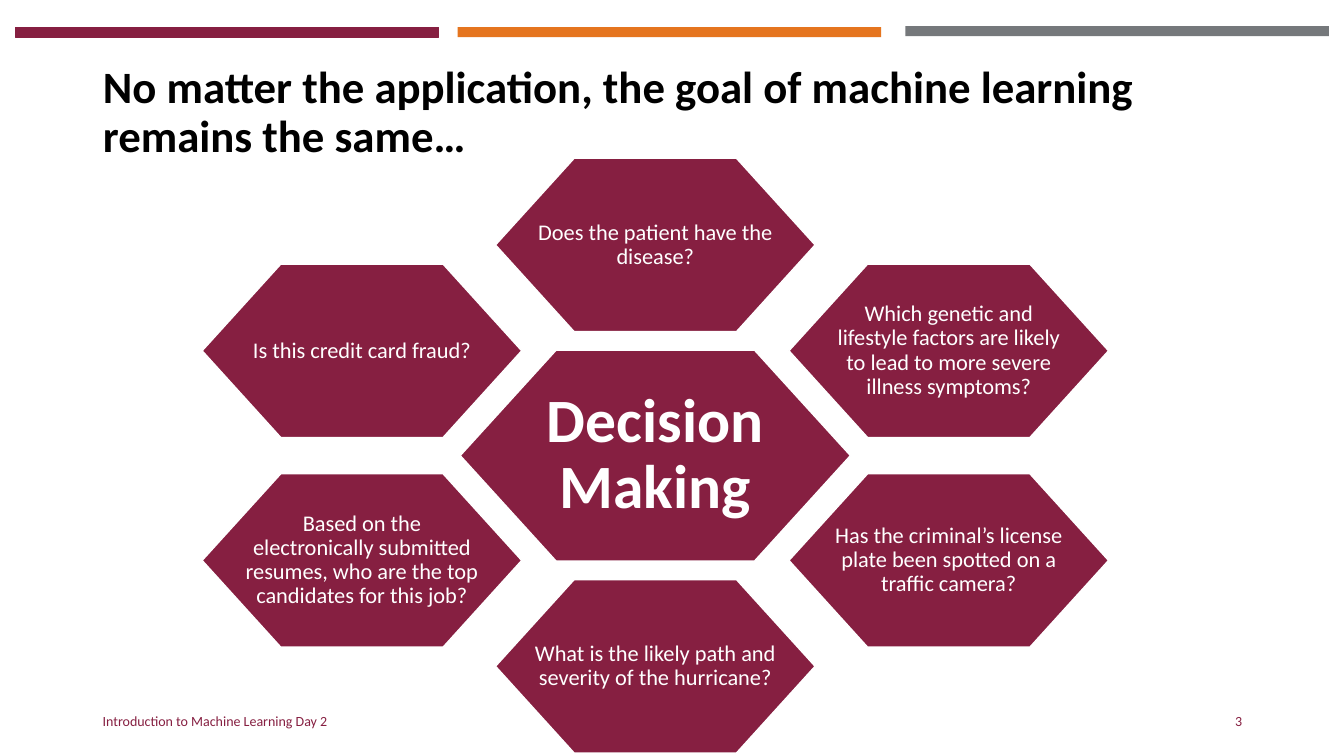
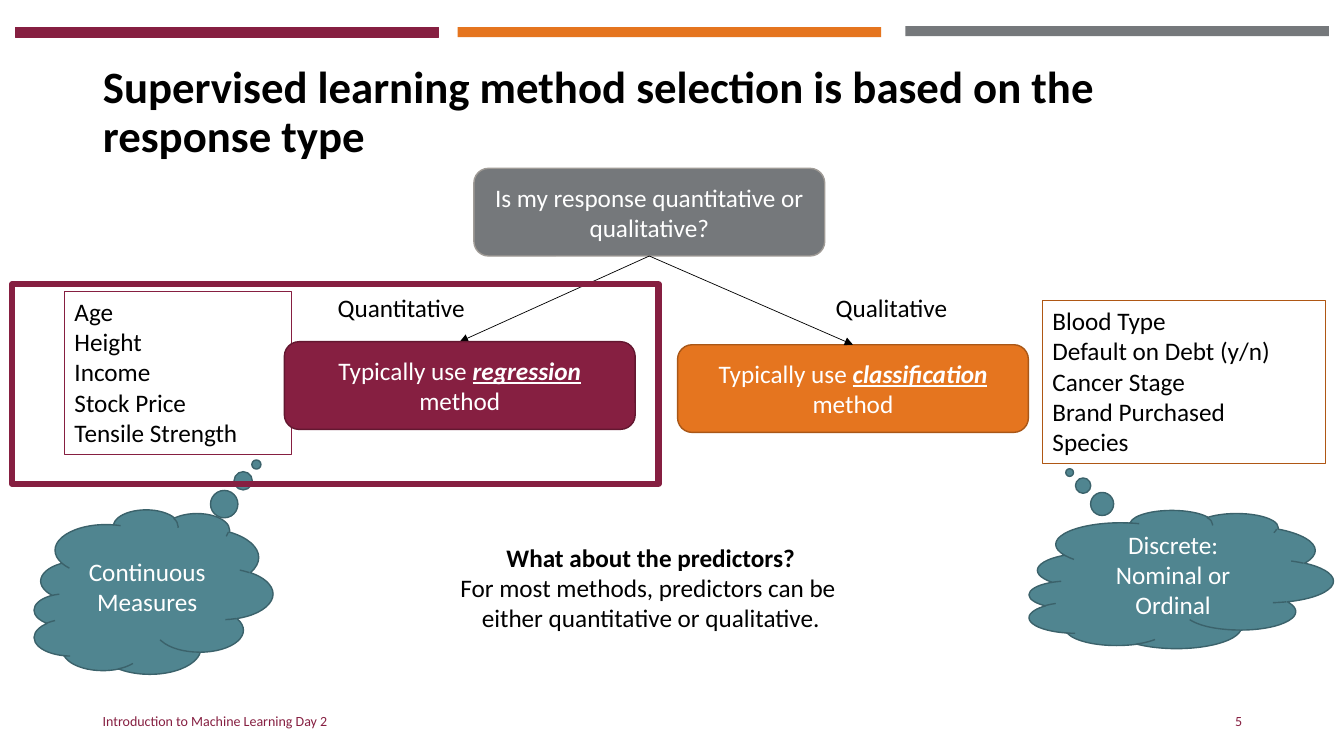
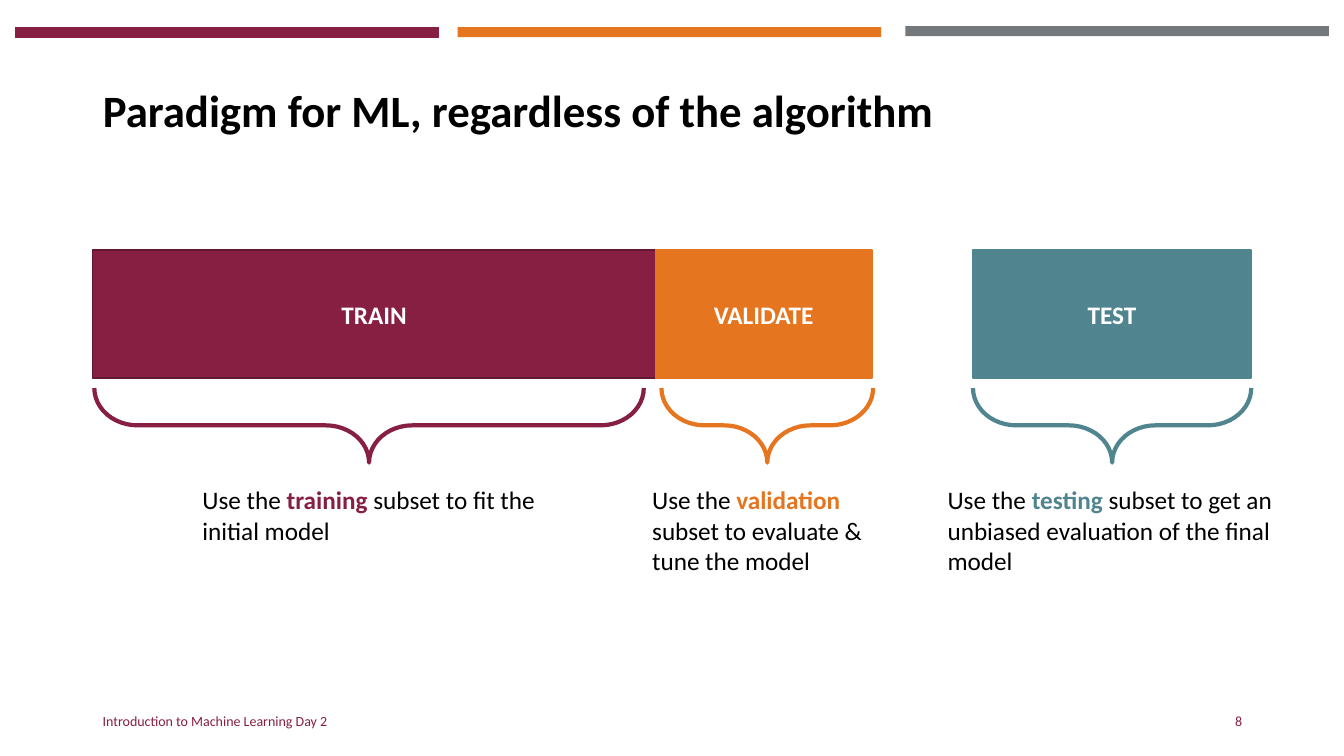
from dataclasses import dataclass
from lxml.etree import SubElement
from pptx import Presentation
from pptx.dml.color import RGBColor
from pptx.enum.shapes import MSO_CONNECTOR, MSO_SHAPE
from pptx.enum.text import MSO_ANCHOR, MSO_AUTO_SIZE, PP_ALIGN
from pptx.oxml.ns import qn
from pptx.util import Inches, Pt


@dataclass(frozen=True)
class Theme:
    font: str = "Calibri"
    wine: str = "861F41"
    orange: str = "E5751F"
    gray: str = "75787B"
    teal: str = "508590"
    white: str = "FFFFFF"
    black: str = "000000"
    wine_edge: str = "631730"
    orange_edge: str = "A95717"
    list_edge: str = "AF5714"
    gray_edge: str = "9F9B96"
    teal_edge: str = "3B626B"
    title: int = 32
    core: int = 44
    body: int = 18
    cell: int = 16
    foot: int = 10


T = Theme()


def write(shape, paras, size=T.body, color=T.black, align=PP_ALIGN.LEFT,
          anchor=MSO_ANCHOR.TOP, spacing=None):
    """Fill a shape; a run is (text, style letters b/i/u, optional colour)."""
    frame = shape.text_frame
    frame.word_wrap = True
    frame.auto_size = MSO_AUTO_SIZE.NONE
    frame.vertical_anchor = anchor
    for i, runs in enumerate(paras):
        para = frame.paragraphs[0] if i == 0 else frame.add_paragraph()
        para.alignment = align
        if spacing:
            para.line_spacing = spacing
        for text, style, *tint in runs:
            run = para.add_run()
            run.text = text
            font = run.font
            font.name, font.size = T.font, Pt(size)
            font.bold, font.italic = "b" in style, "i" in style
            font.underline = "u" in style
            font.color.rgb = RGBColor.from_string(tint[0] if tint else color)


def draw(slide, kind, at, fill=None, edge=None, width=1):
    """Add a preset shape with flat fill and outline."""
    shape = slide.shapes.add_shape(kind, *map(Inches, at))
    shape.shadow.inherit = False
    if fill:
        shape.fill.solid()
        shape.fill.fore_color.rgb = RGBColor.from_string(fill)
    else:
        shape.fill.background()
    if edge:
        shape.line.color.rgb = RGBColor.from_string(edge)
        shape.line.width = Pt(width)
    else:
        shape.line.fill.background()
    return shape


CENTER = dict(align=PP_ALIGN.CENTER, anchor=MSO_ANCHOR.MIDDLE)
LIGHT = dict(color=T.white, **CENTER)

prs = Presentation()
prs.slide_width, prs.slide_height = Inches(13.33), Inches(7.5)

# Shared frame: bands, title, footer, number
slides = []
for title, number in (
    ("No matter the application, the goal of machine learning remains the same…", "3"),
    ("Supervised learning method selection is based on the response type", "5"),
    ("Paradigm for ML, regardless of the algorithm", "8"),
):
    slide = prs.slides.add_slide(prs.slide_layouts[5])
    slides.append(slide)
    for left, top, tint, edge in ((0.15, 0.27, T.wine, T.wine),
                                  (8.98, 0.26, T.gray, None),
                                  (4.54, 0.27, T.orange, None)):
        draw(slide, MSO_SHAPE.RECTANGLE, (left, top, 4.2, 0.1), tint, edge, 0.75)
    head = slide.shapes.title
    head.left, head.top = Inches(0.92), Inches(0.4)
    head.width, head.height = Inches(11.5), Inches(1.45)
    write(head, [[(title, "b")]], T.title, anchor=MSO_ANCHOR.MIDDLE, spacing=0.9)
    for left, width, text, align in (
        (0.92, 4.5, "Introduction to Machine Learning Day 2", PP_ALIGN.LEFT),
        (9.42, 3, number, PP_ALIGN.RIGHT),
    ):
        foot = slide.shapes.add_textbox(Inches(left), Inches(6.95), Inches(width), Inches(0.4))
        write(foot, [[(text, "")]], T.foot, T.wine, align, MSO_ANCHOR.MIDDLE)
goals, method, split = slides

# Goals: a core hexagon ringed by six questions
MID_X, MID_Y = 6.5, 4.52
CORE = (3.87, 2.09, 0.95, 0.47, 0.41)
CELL = (3.17, 1.72, 0.78, 0.38, 0.34)
for dx, dy, form, size, style, text in (
    (0, 0, CORE, T.core, "b", "Decision Making"),
    (0, -2.09, CELL, T.cell, "", "Does the patient have the disease?"),
    (2.91, -1.04, CELL, T.cell, "",
     "Which genetic and lifestyle factors are likely to lead to more severe illness symptoms?"),
    (2.91, 1.04, CELL, T.cell, "",
     "Has the criminal’s license plate been spotted on a traffic camera?"),
    (0, 2.09, CELL, T.cell, "", "What is the likely path and severity of the hurricane?"),
    (-2.91, 1.04, CELL, T.cell, "",
     "Based on the electronically submitted resumes, who are the top candidates for this job?"),
    (-2.91, -1.04, CELL, T.cell, "", "Is this credit card fraud?"),
):
    wide, high, cut, pad_x, pad_y = form
    left, top = MID_X + dx - wide / 2, MID_Y + dy - high / 2
    right, low, mid = left + wide, top + high, top + high / 2
    pen = goals.shapes.build_freeform(Inches(left), Inches(mid))
    pen.add_line_segments([(Inches(x), Inches(y)) for x, y in (
        (left + cut, top), (right - cut, top), (right, mid),
        (right - cut, low), (left + cut, low))], close=True)
    hexa = pen.convert_to_shape()
    hexa.shadow.inherit = False
    hexa.fill.solid()
    hexa.fill.fore_color.rgb = RGBColor.from_string(T.wine)
    hexa.line.color.rgb = RGBColor.from_string(T.white)
    hexa.line.width = Pt(1)
    frame = hexa.text_frame
    frame.margin_left = frame.margin_right = Inches(pad_x)
    frame.margin_top = frame.margin_bottom = Inches(pad_y)
    write(hexa, [[(text, style)]], size, spacing=0.9, **LIGHT)

# Method: decision tree
nodes = []
for left, top, fill, edge, runs in (
    (4.7, 1.67, T.gray, T.gray_edge, [("Is my response quantitative or qualitative?", "")]),
    (2.82, 3.39, T.wine, T.wine_edge,
     [("Typically use ", ""), ("regression", "biu"), (" method", "")]),
    (6.72, 3.42, T.orange, T.orange_edge,
     [("Typically use ", ""), ("classification", "biu"), (" method", "")]),
):
    node = draw(method, MSO_SHAPE.ROUNDED_RECTANGLE, (left, top, 3.48, 0.87), fill, edge)
    write(node, [runs], **LIGHT)
    nodes.append(node)

root, *leaves = nodes
for leaf in leaves:
    arrow = method.shapes.add_connector(MSO_CONNECTOR.STRAIGHT, 0, 0, 0, 0)
    arrow.begin_connect(root, 2)
    arrow.end_connect(leaf, 0)
    arrow.line.color.rgb = RGBColor.from_string(T.black)
    arrow.line.width = Pt(0.5)
    SubElement(arrow.line._get_or_add_ln(), qn("a:tailEnd"), type="triangle")
    SubElement(arrow._element.spPr, qn("a:effectLst"))

# Method: branch labels and closing note
for at, paras, align in (
    ((3.25, 2.85, 2.05, 0.4), [[("Quantitative", "")]], PP_ALIGN.LEFT),
    ((8.19, 2.85, 2.05, 0.4), [[("Qualitative", "")]], PP_ALIGN.LEFT),
    ((3.12, 5.33, 6.67, 1.01),
     [[("What about the predictors?", "b")],
      [("For most methods, predictors can be ", "")],
      [("either quantitative or qualitative.", "")]], PP_ALIGN.CENTER),
):
    write(method.shapes.add_textbox(*map(Inches, at)), paras, align=align)

# Method: example lists
for at, edge, items in (
    ((0.64, 2.89, 2.25, 1.62), T.wine,
     ("Age", "Height", "Income", "Stock Price", "Tensile Strength")),
    ((10.34, 2.98, 2.81, 1.62), T.list_edge,
     ("Blood Type", "Default on Debt (y/n)", "Cancer Stage", "Brand Purchased", "Species")),
):
    card = draw(method, MSO_SHAPE.RECTANGLE, at, edge=edge, width=0.75)
    write(card, [[(item, "")] for item in items])
# The regression box overlaps the first list
method.shapes._spTree.append(leaves[0]._element)

# Method: thought clouds, turned on their side with upright text
for at, tail, text in (
    ((0.7, 4.69, 1.63, 2.37), (-0.777, 0.434), "Continuous Measures"),
    ((11.02, 4.24, 1.37, 3.02), (-0.775, -0.363), "Discrete: Nominal or Ordinal"),
):
    cloud = draw(method, MSO_SHAPE.CLOUD_CALLOUT, at, T.teal, T.teal_edge)
    cloud.adjustments[0], cloud.adjustments[1] = tail
    cloud.rotation = 270
    cloud._element.spPr.xfrm.set("flipH", "1")
    cloud.text_frame._txBody.bodyPr.set("vert", "vert")
    write(cloud, [[(text, "")]], **LIGHT)

# Method: frame around the regression branch
draw(method, MSO_SHAPE.RECTANGLE, (0.12, 2.82, 6.41, 1.98), edge=T.wine, width=4.5)

# Split: blocks, braces and notes
for name, left, width, fill, edge, mid, span, note, word, rest in (
    ("TRAIN", 0.92, 5.58, T.wine, T.wine_edge, 3.66, 5.45,
     (1.91, 4.76, 3.5, 0.71), "training", " subset to fit the initial model"),
    ("VALIDATE", 6.5, 2.15, T.orange, T.orange, 7.61, 2.1,
     (6.37, 4.76, 2.5, 1.01), "validation", " subset to evaluate & tune the model"),
    ("TEST", 9.65, 2.76, T.teal, T.teal, 11.03, 2.76,
     (9.3, 4.76, 3.53, 1.01), "testing",
     " subset to get an unbiased evaluation of the final model"),
):
    block = draw(split, MSO_SHAPE.RECTANGLE, (left, 2.48, width, 1.27), fill, edge)
    write(block, [[(name, "b")]], **LIGHT)
    brace = draw(split, MSO_SHAPE.RIGHT_BRACE,
                 (mid - 0.37, 4.22 - span / 2, 0.74, span), edge=fill, width=3)
    brace.adjustments[0], brace.adjustments[1] = 0.58, 0.5
    brace.rotation = 90
    write(split.shapes.add_textbox(*map(Inches, note)),
          [[("Use the ", ""), (word, "b", fill), (rest, "")]])

prs.save("out.pptx")
